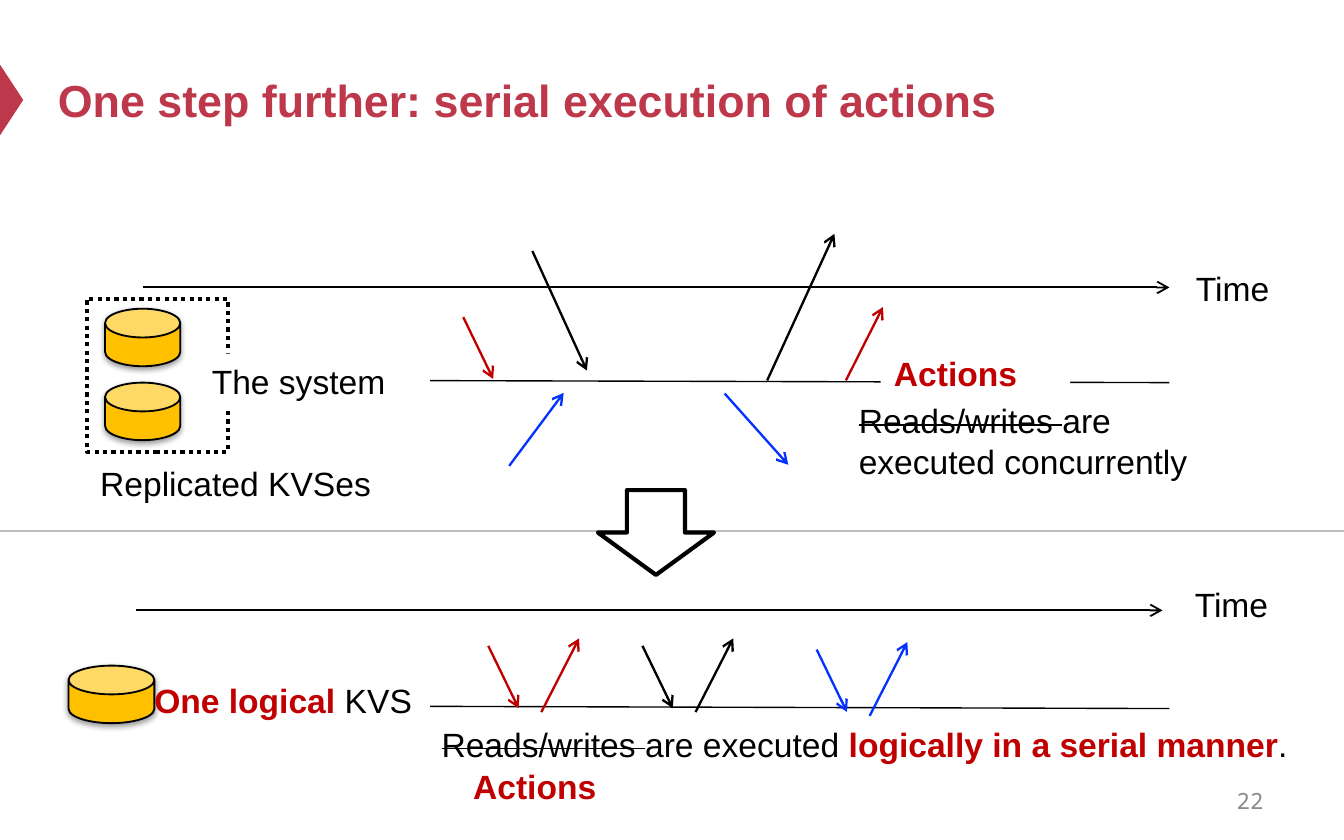
from lxml import etree
from pptx import Presentation
from pptx.dml.color import RGBColor
from pptx.enum.dml import MSO_LINE
from pptx.enum.shapes import MSO_CONNECTOR, MSO_SHAPE
from pptx.enum.text import MSO_ANCHOR, PP_ALIGN
from pptx.oxml import parse_xml
from pptx.oxml.ns import nsdecls, qn
from pptx.util import Pt

BLACK = RGBColor(0, 0, 0)
WHITE = RGBColor(255, 255, 255)
RED = RGBColor(0xC0, 0, 0)
BLUE = RGBColor(0x04, 0x32, 0xFF)
ROSE = RGBColor(0xBE, 0x38, 0x4B)
GOLD = RGBColor(0xFF, 0xC0, 0)
GREY = RGBColor(0xBF, 0xBF, 0xBF)
SLATE = RGBColor(0x8C, 0x8C, 0x8C)
STRAIGHT = MSO_CONNECTOR.STRAIGHT
DOTS = MSO_LINE.ROUND_DOT  # saved as sysDot
CAN, RECT = MSO_SHAPE.CAN, MSO_SHAPE.RECTANGLE
DOWN, WEDGE = MSO_SHAPE.DOWN_ARROW, MSO_SHAPE.ISOSCELES_TRIANGLE
MIDDLE, LEFT, RIGHT = MSO_ANCHOR.MIDDLE, PP_ALIGN.LEFT, PP_ALIGN.RIGHT

SHADOW = (
    f'<a:effectLst {nsdecls("a")}><a:outerShdw blurRad="39370" dist="20320" '
    'dir="5400000" rotWithShape="0"><a:srgbClr val="000000">'
    '<a:alpha val="38000"/></a:srgbClr></a:outerShdw></a:effectLst>'
)

deck = Presentation()
deck.slide_width, deck.slide_height = Pt(720), Pt(450)
slide = deck.slides.add_slide(deck.slide_layouts[5])
shapes = slide.shapes


def write(frame, text, size=18, color=BLACK, bold=False, strike=False,
          face="Arial", align=LEFT):
    """Add a run to the first paragraph of a frame."""
    para = frame.paragraphs[0]
    para.alignment = align
    run = para.add_run()
    run.text = text
    font = run.font
    font.name, font.size, font.bold = face, Pt(size), bold
    font.color.rgb = color
    if strike:
        run._r.get_or_add_rPr().set("strike", "sngStrike")


def link(start, end, color=BLACK, width=1.25, head=True):
    """Draw a straight line, with an open arrowhead at its end if head."""
    line = shapes.add_connector(STRAIGHT, *map(Pt, start + end))
    line.line.color.rgb = color
    line.line.width = Pt(width)
    if head:
        etree.SubElement(line.line._get_or_add_ln(), qn("a:tailEnd"), type="arrow")
    etree.SubElement(line._element.spPr, qn("a:effectLst"))


# Title
title = shapes.title
title.left, title.top, title.width, title.height = map(Pt, (23.8, 18, 648, 70.5))
title.text_frame.vertical_anchor = MIDDLE
title.text_frame.word_wrap = True
write(title.text_frame, "One step further: serial execution of actions",
      size=24, color=ROSE, bold=True)

# Divider, time axes and system lines
link((0, 284.4), (720, 284.4), GREY, 0.75, head=False)
link((76.5, 154), (626.5, 154), width=1)
link((72.8, 327), (622.8, 327), width=1)
link((230.5, 203.9), (626.5, 205), width=0.75, head=False)
link((230.5, 378.4), (626.5, 379.6), width=0.75, head=False)

# Stores, frame of the replicas, step arrow and title marker
for kind, box, fill, edge, width in (
    (CAN, (56.3, 165.4, 40.3, 30.8), GOLD, BLACK, 1),
    (CAN, (56.3, 205, 40.3, 30.8), GOLD, BLACK, 1),
    (CAN, (36.7, 356.6, 46, 30.8), GOLD, BLACK, 1),
    (RECT, (46.6, 160, 75.4, 82), None, BLACK, 2.25),
    (DOWN, (320.3, 262.6, 62.3, 45.4), WHITE, BLACK, 2.25),
    (WEDGE, (-12.8, 47.3, 38, 12.5), ROSE, None, 0),
):
    shape = shapes.add_shape(kind, *map(Pt, box))
    shape.shadow.inherit = False
    if fill is None:
        shape.fill.background()
        shape.line.dash_style = DOTS
    else:
        shape.fill.solid()
        shape.fill.fore_color.rgb = fill
    if edge is None:
        shape.line.fill.background()
        shape.rotation = 90
    else:
        shape.line.color.rgb = edge
        shape.line.width = Pt(width)
    if kind == CAN:
        shape.adjustments[0] = 0.5
        props = shape._element.spPr
        props.replace(props.find(qn("a:effectLst")), parse_xml(SHADOW))

# Concurrent actions
for start, end, color in (
    ((248.2, 169.9), (264.2, 203), RED),
    ((453.2, 203.8), (473, 164.5), RED),
    ((285.2, 134.5), (314.4, 198.5), BLACK),
    ((411, 203.8), (447, 125.3), BLACK),
    ((272.8, 249.6), (302, 210.5), BLUE),
    ((388.2, 210.8), (422.3, 249), BLUE),
):
    link(start, end, color)

# Serial actions: a call, then its reply
for x, y, color in ((261.6, 346, RED), (344.2, 346, BLACK), (437.5, 348, BLUE)):
    link((x, y), (x + 16.2, y + 33.4), color)
    link((x + 28.4, y + 35.5), (x + 48.6, y - 4), color)

# Labels
key = {"color": RED, "bold": True}
gone = {"strike": True}
for box, fill, runs in (
    ((633.6, 139.7, 86.4, 29), None, [("Time", {})]),
    ((633, 309.2, 86.4, 29), None, [("Time", {})]),
    ((46.6, 244.2, 172, 29), None, [("Replicated KVSes", {})]),
    ((106.4, 189.5, 124, 29), WHITE, [("The system", {})]),
    ((453, 210.5, 210, 51), None,
     [("Reads/writes ", gone), ("are executed concurrently", {})]),
    ((75.6, 360.4, 170.6, 29), None, [("One logical", key), (" KVS", {})]),
    ((229.5, 384, 490.5, 29), None,
     [("Reads/writes ", gone), ("are executed ", {}),
      ("logically in a serial manner", key), (".", {})]),
    ((471.8, 185.3, 101.5, 29), WHITE, [("Actions", key)]),
    ((246.4, 406.6, 101.5, 29), WHITE, [("Actions", key)]),
    ((516.2, 417, 167.8, 24), None,
     [("22", {"size": 12, "color": SLATE, "face": "Noto Sans Mono",
              "align": RIGHT})]),
):
    label = shapes.add_textbox(*map(Pt, box))
    label.text_frame.word_wrap = True
    label.text_frame.vertical_anchor = MIDDLE
    if fill is not None:
        label.fill.solid()
        label.fill.fore_color.rgb = fill
    for text, style in runs:
        write(label.text_frame, text, **style)

deck.save("out.pptx")
